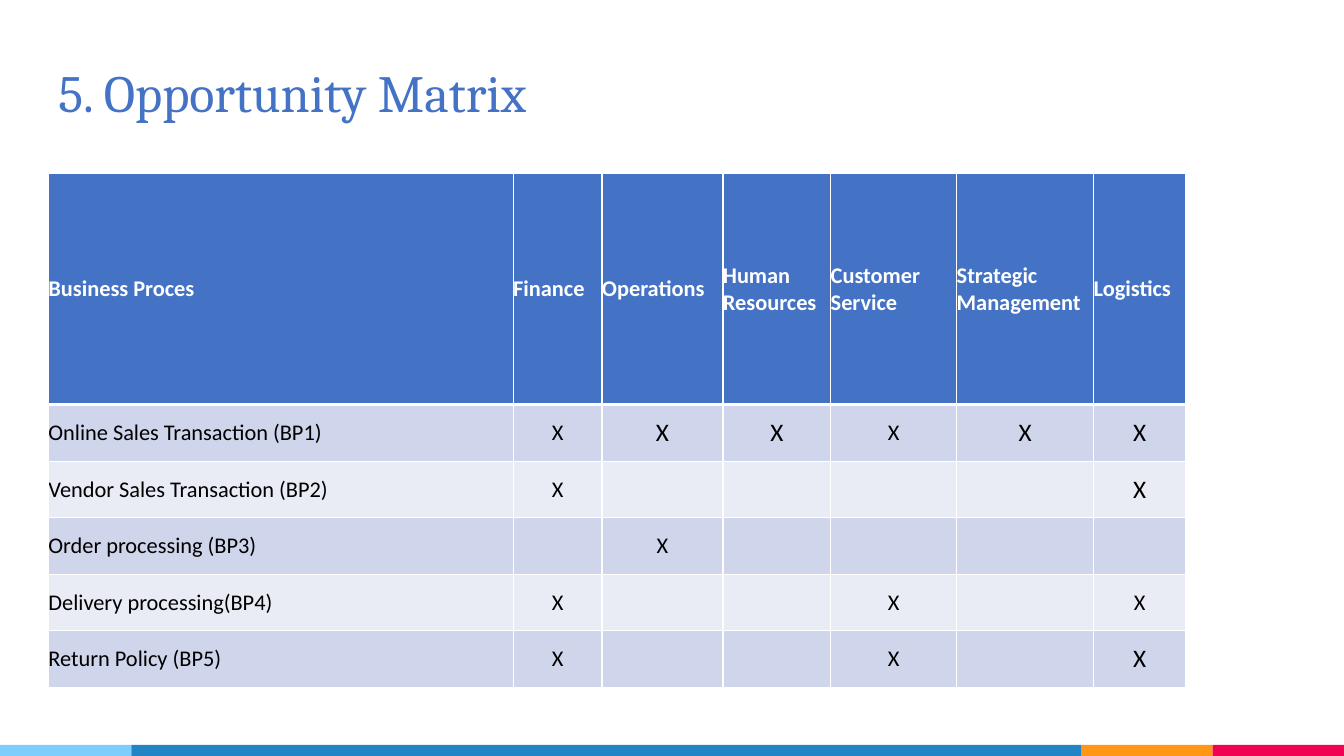
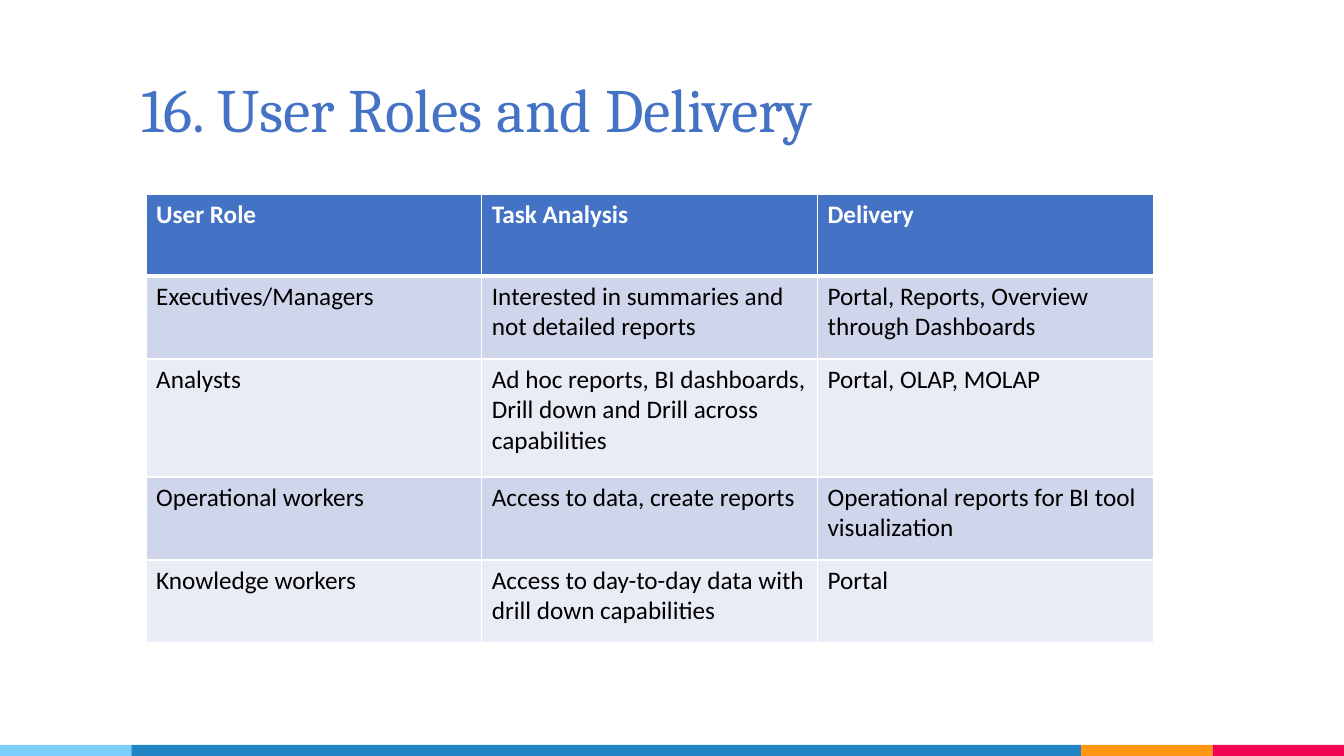
from dataclasses import dataclass
from lxml.etree import SubElement
from pptx import Presentation
from pptx.dml.color import RGBColor
from pptx.enum.shapes import MSO_SHAPE
from pptx.enum.text import MSO_ANCHOR, PP_ALIGN
from pptx.oxml.ns import qn
from pptx.util import Pt


@dataclass(frozen=True)
class Theme:
    blue: str = "4472C4"
    white: str = "FFFFFF"
    black: str = "000000"
    rows: tuple = ("CFD5EA", "E9EBF5")
    bands: tuple = ("7ECEFD", "2185C5", "FF9715", "F20253")
    head: str = "Cambria"
    body: str = "Calibri"
    title: float = 44
    small: float = 37.3
    text: float = 18
    dense: float = 16
    thin: float = 1
    thick: float = 3


T = Theme()
WIDE, HIGH = 960, 540

HEADS = ["Business Proces", "Finance", "Operations", "Human Resources",
         "Customer Service", "Strategic Management", "Logistics"]
# Type size of each X mark; None leaves the cell empty.
S, L, N = T.dense, T.text, None
MARKS = {
    "Online Sales Transaction (BP1)": (S, L, L, S, L, L),
    "Vendor Sales Transaction (BP2)": (S, N, N, N, N, L),
    "Order processing (BP3)": (N, S, N, N, N, N),
    "Delivery processing(BP4)": (S, N, N, S, N, S),
    "Return Policy (BP5)": (S, N, N, S, N, L),
}
ROLES = [
    ["User Role", "Task Analysis", "Delivery"],
    ["Executives/Managers", "Interested in summaries and not detailed reports",
     "Portal, Reports, Overview through Dashboards"],
    ["Analysts", "Ad hoc reports, BI dashboards, Drill down and Drill across capabilities",
     "Portal, OLAP, MOLAP"],
    ["Operational workers", "Access to data, create reports",
     "Operational reports for BI tool visualization"],
    ["Knowledge workers", "Access to day-to-day data with drill down capabilities",
     "Portal"],
]


def paint(fill, color):
    fill.solid()
    fill.fore_color.rgb = RGBColor.from_string(color)


def style(para, face, size, color, bold=False):
    font = para.font
    font.name, font.size, font.bold = face, Pt(size), bold
    font.color.rgb = RGBColor.from_string(color)


def add_bands(slide):
    side, tall = 93.9, 8
    left = 0
    for color, width in zip(T.bands, (side, WIDE - 3 * side, side, side)):
        band = slide.shapes.add_shape(MSO_SHAPE.RECTANGLE, Pt(left), Pt(HIGH - tall),
                                      Pt(width), Pt(tall))
        band.shadow.inherit = False
        paint(band.fill, color)
        band.line.fill.background()
        left += width


def add_title(slide, text, left, top, size):
    box = slide.shapes.add_textbox(Pt(left), Pt(top), Pt(678), Pt(90))
    frame = box.text_frame
    frame.word_wrap = True
    frame.vertical_anchor = MSO_ANCHOR.BOTTOM
    frame.margin_left = frame.margin_right = Pt(7.2)
    frame.margin_top = frame.margin_bottom = Pt(7.2)
    para = frame.paragraphs[0]
    para.text = text
    para.line_spacing = 0.9
    style(para, T.head, size, T.blue)


def add_slide(deck, title, left, top, size):
    slide = deck.slides.add_slide(deck.slide_layouts[6])
    add_bands(slide)
    add_title(slide, title, left, top, size)
    return slide


def edge(cell, row):
    """Draw white borders, thick between the header and the first row."""
    props = cell._tc.get_or_add_tcPr()
    heavy = {0: "lnB", 1: "lnT"}.get(row)
    for side in ("lnL", "lnR", "lnT", "lnB"):
        width = T.thick if side == heavy else T.thin
        line = SubElement(props, qn(f"a:{side}"), w=str(Pt(width)))
        fill = SubElement(line, qn("a:solidFill"))
        SubElement(fill, qn("a:srgbClr"), val=T.white)


def add_table(slide, data, left, top, cols, rows, size):
    frame = slide.shapes.add_table(len(rows), len(cols), Pt(left), Pt(top),
                                   Pt(sum(cols)), Pt(sum(rows)))
    table = frame.table
    table.horz_banding = False
    for col, width in zip(table.columns, cols):
        col.width = Pt(width)
    for row, (line, height) in enumerate(zip(data, rows)):
        table.rows[row].height = Pt(height)
        for cell, text in zip(table.rows[row].cells, line):
            top_row = row == 0
            edge(cell, row)
            paint(cell.fill, T.blue if top_row else T.rows[(row - 1) % 2])
            cell.text = text
            style(cell.text_frame.paragraphs[0], T.body, size,
                  T.white if top_row else T.black, top_row)
    return table


def tighten(table):
    """Drop the cell margins and centre the text by height."""
    for cell in table.iter_cells():
        cell.margin_left = cell.margin_right = 0
        cell.margin_top = cell.margin_bottom = 0
        cell.vertical_anchor = MSO_ANCHOR.MIDDLE


def add_matrix(deck):
    slide = add_slide(deck, "5. Opportunity Matrix", 34.6, 5.8, T.small)
    data = [HEADS] + [[name] + ["X" if size else "" for size in sizes]
                      for name, sizes in MARKS.items()]
    table = add_table(slide, data, 34.6, 124, (332, 63.4, 86.4, 77, 90, 97.9, 65.5),
                      [165] + [40.4] * len(MARKS), T.dense)
    tighten(table)
    for row, sizes in enumerate(MARKS.values(), 1):
        for col, size in enumerate(sizes, 1):
            para = table.cell(row, col).text_frame.paragraphs[0]
            para.alignment = PP_ALIGN.CENTER
            para.font.size = Pt(size or T.dense)


def add_roles(deck):
    slide = add_slide(deck, "16. User Roles and Delivery", 93.9, 21.6, T.title)
    add_table(slide, ROLES, 104.4, 139.2, [239.8] * 3,
              (58, 59.2, 84.4, 59.2, 59.2), T.text)


def main():
    deck = Presentation()
    deck.slide_width, deck.slide_height = Pt(WIDE), Pt(HIGH)
    add_matrix(deck)
    add_roles(deck)
    deck.save("out.pptx")


if __name__ == "__main__":
    main()
